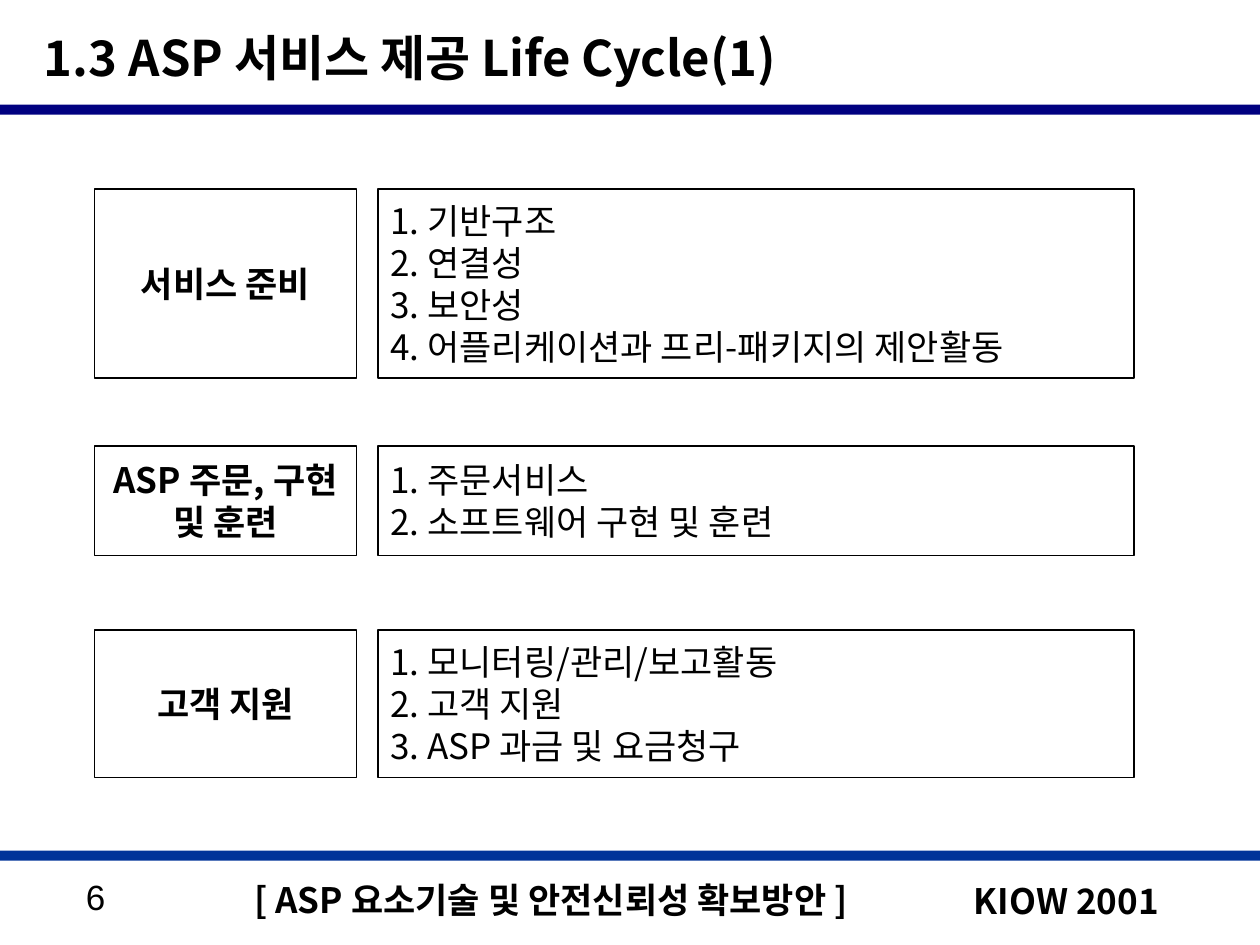
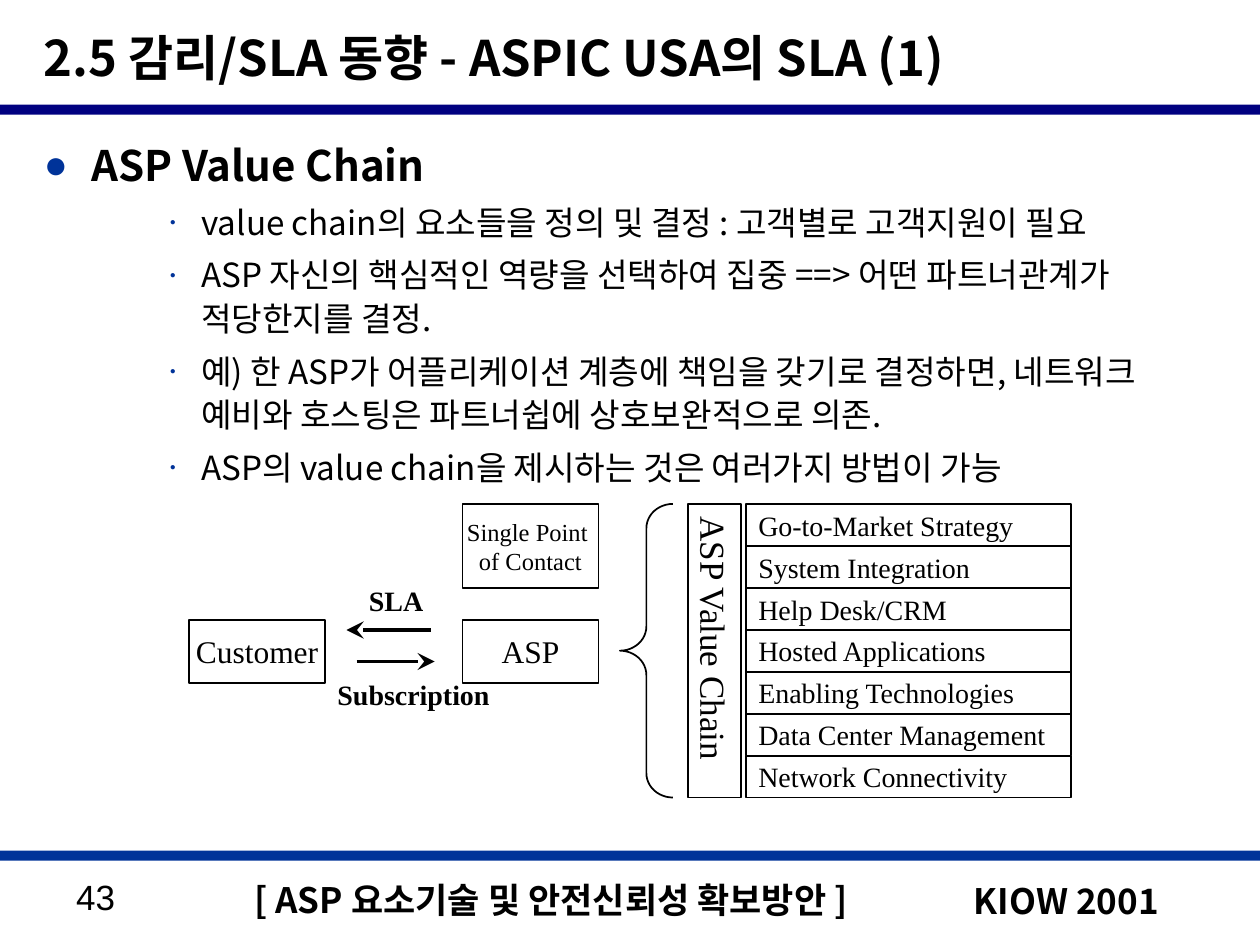
from lxml.etree import SubElement
from pptx import Presentation
from pptx.dml.color import RGBColor
from pptx.enum.shapes import MSO_CONNECTOR, MSO_SHAPE
from pptx.enum.text import MSO_ANCHOR, PP_ALIGN
from pptx.oxml.ns import qn
from pptx.util import Inches, Pt

# Shared look
HUE = {"ink": "000000", "navy": "000080", "blue": "003399"}
KOR, ROMAN, SANS = "Noto Sans CJK KR", "Times New Roman", "Arial"
MID = PP_ALIGN.CENTER
FOOT = "[ ASP 요소기술 및 안전신뢰성 확보방안 ]"
EVENT = "KIOW 2001"

# Slide 1: top, height, stage label, steps
CYCLE = ("1.3 ASP 서비스 제공 Life Cycle(1)", 6)
STAGES = [
    (1.5, 1.5, "서비스 준비",
     ["1. 기반구조", "2. 연결성", "3. 보안성",
      "4. 어플리케이션과 프리-패키지의 제안활동"]),
    (3.54, 0.87, "ASP 주문, 구현\n및 훈련",
     ["1. 주문서비스", "2. 소프트웨어 구현 및 훈련"]),
    (5, 1.17, "고객 지원",
     ["1. 모니터링/관리/보고활동", "2. 고객 지원", "3. ASP 과금 및 요금청구"]),
]

# Slide 2
CHAIN = ("2.5 감리/SLA 동향 - ASPIC USA의 SLA (1)", 43)
HEAD = "ASP Value Chain"
POINTS = [
    "value chain의 요소들을 정의 및 결정 : 고객별로 고객지원이 필요",
    "ASP 자신의 핵심적인 역량을 선택하여 집중 ==> 어떤 파트너관계가 적당한지를 결정.",
    "예) 한 ASP가 어플리케이션 계층에 책임을 갖기로 결정하면, 네트워크 예비와 호스팅은 "
    "파트너쉽에 상호보완적으로 의존.",
    "ASP의 value chain을 제시하는 것은 여러가지 방법이 가능",
]
ROLES = [  # left, top, height, text, size
    (1.5, 4.92, 0.5, "Customer", 18),
    (3.67, 4.92, 0.5, "ASP", 18),
    (3.67, 4, 0.67, "Single Point \nof Contact", 14),
]
FLOWS = [(3.42, 2.75, 5), (2.83, 3.45, 5.25)]  # from x, to x, y
LABELS = [(2.83, 4.58, 0.83, "SLA"), (2.58, 5.33, 1.58, "Subscription")]
LINKS = ["Go-to-Market Strategy", "System Integration", "Help Desk/CRM",
         "Hosted Applications", "Enabling Technologies",
         "Data Center Management", "Network Connectivity"]
TOP, TALL = 4, 2.33  # value chain block


def tint(name):
    return RGBColor.from_string(HUE[name])


def style(para, size, font=KOR, bold=False, align=None):
    """Format one paragraph and its runs, Korean glyphs included."""
    para.alignment = align
    for run in para.runs:
        run.font.size, run.font.bold, run.font.name = Pt(size), bold, font
        run.font.color.rgb = tint("ink")
        for tag in ("a:ea", "a:cs"):
            SubElement(run.font._element, qn(tag)).set("typeface", font)


def write(shape, text, size, wrap=False, anchor=MSO_ANCHOR.MIDDLE, **look):
    frame = shape.text_frame
    frame.text = text
    frame.word_wrap, frame.vertical_anchor = wrap, anchor
    for para in frame.paragraphs:
        style(para, size, **look)
    return frame


def label(slide, at, text, size, anchor=MSO_ANCHOR.TOP, **look):
    box = slide.shapes.add_textbox(*map(Inches, at))
    return write(box, text, size, True, anchor, **look)


def form(slide, at, kind=MSO_SHAPE.RECTANGLE, fill=None, line=None):
    shape = slide.shapes.add_shape(kind, *map(Inches, at))
    shape.shadow.inherit = False
    if fill:
        shape.fill.solid()
        shape.fill.fore_color.rgb = tint(fill)
    else:
        shape.fill.background()
    if line:
        shape.line.color.rgb, shape.line.width = tint("ink"), Pt(line)
    else:
        shape.line.fill.background()
    return shape


def arrow(slide, start, end, y):
    line = slide.shapes.add_connector(
        MSO_CONNECTOR.STRAIGHT, *map(Inches, (start, y, end, y)))
    line.line.color.rgb, line.line.width = tint("ink"), Pt(1.75)
    tip = SubElement(line.line._get_or_add_ln(), qn("a:tailEnd"))
    for key, value in (("type", "stealth"), ("w", "lg"), ("len", "lg")):
        tip.set(key, value)
    SubElement(line._element.spPr, qn("a:effectLst"))


def bullet(para, left, hang, ratio, before):
    para.line_spacing, para.space_before = 1.1, Pt(before)
    props = para._element.get_or_add_pPr()
    props.set("marL", str(Inches(left)))
    props.set("indent", str(-Inches(hang)))
    color = SubElement(props, qn("a:buClr"))
    SubElement(color, qn("a:srgbClr")).set("val", HUE["blue"])
    SubElement(props, qn("a:buSzPct")).set("val", str(ratio * 1000))
    SubElement(props, qn("a:buFont")).set("typeface", SANS)
    SubElement(props, qn("a:buChar")).set("char", "●")


def page(deck, title, number):
    """Blank slide with bands, title and footer."""
    slide = deck.slides.add_slide(deck.slide_layouts[6])
    label(slide, (1.92, 6.92, 5.2, 0.55), FOOT, 20, bold=True)
    form(slide, (0, 6.75, 10.08, 0.08), fill="blue")
    form(slide, (0, 0.83, 10.08, 0.08), fill="navy")
    event = label(slide, (7.63, 6.9, 2.25, 0.55), EVENT, 20, bold=True)
    event.paragraphs[0].line_spacing = 1.1
    event.paragraphs[0].space_before = Pt(12.5)
    label(slide, (0.25, 0.08, 8.42, 0.75), title, 28,
          anchor=MSO_ANCHOR.MIDDLE, bold=True)
    label(slide, (0.31, 6.9, 0.9, 0.55), str(number), 20, font=SANS, align=MID)
    return slide


def cycle(deck):
    slide = page(deck, *CYCLE)
    for top, high, name, steps in STAGES:
        write(form(slide, (3, top, 6, high), line=0.75), "\n".join(steps), 20,
              align=PP_ALIGN.LEFT)
        write(form(slide, (0.75, top, 2.08, high), line=0.75), name, 20,
              bold=True, align=MID)


def chain(deck):
    slide = page(deck, *CHAIN)

    # Bulleted text
    body = label(slide, (0.25, 1.02, 9.58, 5.58), "\n".join([HEAD] + POINTS), 19)
    head, *points = body.paragraphs
    style(head, 24, bold=True)
    bullet(head, 0.38, 0.38, 95, 6)
    for para in points:
        para.level = 2
        bullet(para, 1.25, 0.25, 30, 4.8)

    # Customer and provider
    for left, top, high, text, size in ROLES:
        write(form(slide, (left, top, 1.08, high), line=1), text, size,
              font=ROMAN, align=MID)
    for flow in FLOWS:
        arrow(slide, *flow)
    for left, top, wide, text in LABELS:
        frame = label(slide, (left, top, wide, 0.37), text, 16,
                      font=ROMAN, bold=True)
        frame.paragraphs[0].space_before = Pt(10)

    # Value chain: brace, upright title, stacked links
    brace = form(slide, (4.92, TOP, 0.42, TALL), MSO_SHAPE.LEFT_BRACE, line=1)
    brace.adjustments[0] = 0.46
    spine = form(slide, (5.46, TOP, 0.42, TALL), line=1)
    frame = write(spine, HEAD, 20, wrap=True, font=ROMAN, align=MID)
    frame.margin_left = frame.margin_right = Inches(0.05)
    frame.margin_top = frame.margin_bottom = Inches(0.1)
    frame._txBody.bodyPr.set("vert", "eaVert")
    step = TALL / len(LINKS)
    for i, text in enumerate(LINKS):
        write(form(slide, (5.92, TOP + i * step, 2.58, step), line=1), text, 16,
              font=ROMAN, align=PP_ALIGN.LEFT)


def main():
    deck = Presentation()
    deck.slide_width, deck.slide_height = Inches(10), Inches(7.5)
    cycle(deck)
    chain(deck)
    deck.save("out.pptx")


if __name__ == "__main__":
    main()
